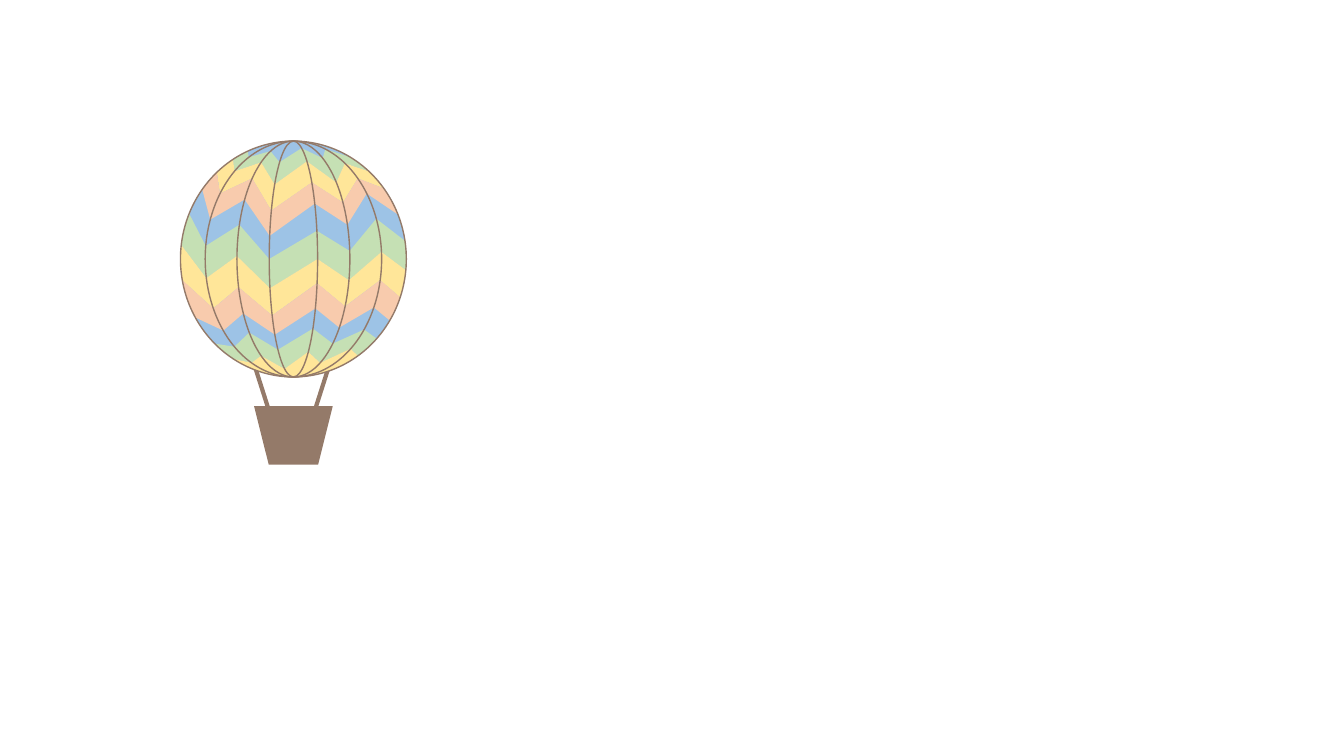
from math import sqrt

from lxml import etree
from pptx import Presentation
from pptx.dml.color import RGBColor
from pptx.enum.shapes import MSO_CONNECTOR, MSO_SHAPE
from pptx.oxml.ns import qn
from pptx.util import Inches, Pt

OVAL = MSO_SHAPE.OVAL
TRAPEZOID = MSO_SHAPE.TRAPEZOID
STRAIGHT = MSO_CONNECTOR.STRAIGHT

BROWN = RGBColor(0x94, 0x7A, 0x69)
BLUE = RGBColor(0x9D, 0xC3, 0xE6)
YELLOW = RGBColor(0xFF, 0xE6, 0x99)
GREEN = RGBColor(0xC5, 0xE0, 0xB4)
PEACH = RGBColor(0xF8, 0xCB, 0xAD)

CENTER = 2.91
TOP, HEIGHT = 1.4, 2.34
WIDTHS = (2.24, 1.75, 1.12, 0.48)
SEAMS = [-w / 2 for w in WIDTHS] + [w / 2 for w in reversed(WIDTHS)]
STEPS = 6

# Height of each zigzag where it meets the seams, left to right
ZIGZAGS = [
    (1.5, 1.56, 1.5, 1.61, 1.47, 1.57, 1.48, 1.56),
    (1.58, 1.7, 1.61, 1.83, 1.6, 1.81, 1.62, 1.7),
    (1.71, 1.92, 1.77, 2.09, 1.81, 2.01, 1.77, 1.87),
    (1.88, 2.18, 1.98, 2.34, 2.02, 2.23, 1.92, 2.13),
    (2.12, 2.44, 2.23, 2.57, 2.29, 2.49, 2.17, 2.39),
    (2.43, 2.76, 2.54, 2.86, 2.57, 2.78, 2.5, 2.68),
    (2.78, 3.06, 2.85, 3.13, 2.81, 3.04, 2.78, 2.95),
    (3.15, 3.28, 3.11, 3.32, 3.06, 3.25, 3.05, 3.18),
    (3.41, 3.44, 3.3, 3.47, 3.26, 3.41, 3.27, 3.36),
    (3.56, 3.6, 3.53, 3.66, 3.49, 3.6, 3.46, 3.53),
    (TOP + HEIGHT,) * len(SEAMS),
]
# Fill below each zigzag; None lets the blue envelope show
FILLS = (GREEN, YELLOW, PEACH, None, GREEN, YELLOW, PEACH, None, GREEN, YELLOW)


def seam_point(seam, y):
    """Return the point of a seam at height y."""
    rise = (y - TOP) * 2 / HEIGHT - 1
    return CENTER + seam * sqrt(max(0, 1 - rise * rise)), y


def rim(seam, start, end):
    """Return points along the rim between two heights, ends left out."""
    return [seam_point(seam, start + (end - start) * i / STEPS)
            for i in range(1, STEPS)]


class Balloon:
    def __init__(self, slide):
        self.shapes = slide.shapes.add_group_shape().shapes

    def paint(self, shape, fill=None, line=None):
        shape.shadow.inherit = False
        if fill is None:
            shape.fill.background()
        else:
            shape.fill.solid()
            shape.fill.fore_color.rgb = fill
        if line is None:
            shape.line.fill.background()
        else:
            shape.line.color.rgb = line
            shape.line.width = Pt(1)

    def basket(self):
        shape = self.shapes.add_shape(
            TRAPEZOID, Inches(2.52), Inches(4.03), Inches(0.78), Inches(0.58))
        shape.rotation = 180
        self.paint(shape, fill=BROWN)

    def rope(self, top, low):
        line = self.shapes.add_connector(
            STRAIGHT, Inches(top), Inches(3.61), Inches(low), Inches(4.08))
        line.line.color.rgb = BROWN
        line.line.width = Pt(3)
        etree.SubElement(line._element.spPr, qn("a:effectLst"))

    def ovals(self, fill=None, line=None):
        """Draw the nested gores of the envelope."""
        for width in WIDTHS:
            shape = self.shapes.add_shape(
                OVAL, Inches(CENTER - width / 2), Inches(TOP),
                Inches(width), Inches(HEIGHT))
            self.paint(shape, fill, line)

    def band(self, fill, upper, lower):
        """Fill the area between two zigzags, following the rim."""
        above, below = ([seam_point(s, y) for s, y in zip(SEAMS, edge)]
                        for edge in (upper, lower))
        points = (above + rim(SEAMS[-1], upper[-1], lower[-1])
                  + below[::-1] + rim(SEAMS[0], lower[0], upper[0]))
        start, *rest = [(Inches(x), Inches(y)) for x, y in points]
        outline = self.shapes.build_freeform(*start)
        outline.add_line_segments(rest, close=True)
        self.paint(outline.convert_to_shape(), fill)


def main():
    deck = Presentation()
    deck.slide_width, deck.slide_height = Inches(13.33), Inches(7.5)
    balloon = Balloon(deck.slides.add_slide(deck.slide_layouts[6]))
    balloon.basket()
    balloon.rope(2.52, 2.67)
    balloon.rope(3.27, 3.12)
    balloon.ovals(fill=BLUE)
    for fill, upper, lower in zip(FILLS, ZIGZAGS, ZIGZAGS[1:]):
        if fill is not None:
            balloon.band(fill, upper, lower)
    balloon.ovals(line=BROWN)
    deck.save("out.pptx")


if __name__ == "__main__":
    main()
